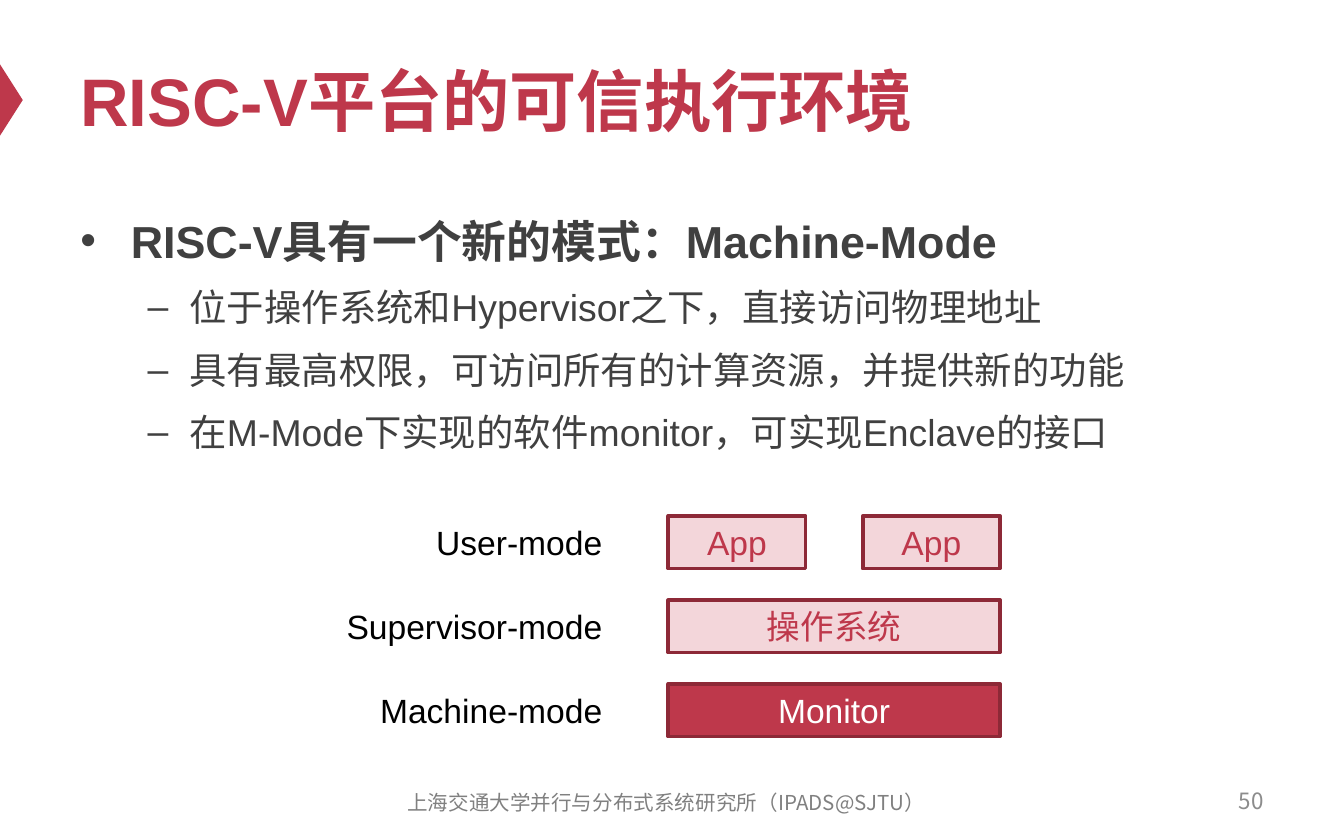
"""Build the slide on the RISC-V trusted execution environment."""
import pptx
import pptx.util
import pptx.dml.color
import pptx.enum.shapes
import pptx.enum.text
import pptx.oxml
import pptx.oxml.ns

Pt = pptx.util.Pt
RGBColor = pptx.dml.color.RGBColor
ALIGN = pptx.enum.text.PP_ALIGN
ANCHOR = pptx.enum.text.MSO_ANCHOR
PRESET = pptx.enum.shapes.MSO_SHAPE
qn = pptx.oxml.ns.qn

CRIMSON = RGBColor(0xBE, 0x38, 0x4B)
MAROON = RGBColor(0x8D, 0x29, 0x37)
PINK = RGBColor(0xF3, 0xD6, 0xDA)
CHARCOAL = RGBColor(0x40, 0x40, 0x40)
GRAY = RGBColor(0x80, 0x80, 0x80)
SILVER = RGBColor(0x8C, 0x8C, 0x8C)
BLACK = RGBColor(0, 0, 0)
WHITE = RGBColor(0xFF, 0xFF, 0xFF)
LATIN = "Arial"
CJK = "Noto Sans CJK SC"

TITLE = "RISC-V平台的可信执行环境"
HEADLINE = "RISC-V具有一个新的模式：Machine-Mode"
DETAILS = [
    "位于操作系统和Hypervisor之下，直接访问物理地址",
    "具有最高权限，可访问所有的计算资源，并提供新的功能",
    "在M-Mode下实现的软件monitor，可实现Enclave的接口",
]
MODES = [
    ("User-mode", ["App", "App"], PINK, CRIMSON),
    ("Supervisor-mode", ["操作系统"], PINK, CRIMSON),
    ("Machine-mode", ["Monitor"], CRIMSON, WHITE),
]
FOOTER = "上海交通大学并行与分布式系统研究所（IPADS@SJTU）"
PAGE = "50"

STACK_LEFT, STACK_TOP, STACK_WIDTH = 358, 276.5, 177.8
LAYER_HEIGHT, LAYER_STEP, APP_GAP = 28.1, 45, 30.5
LABEL_LEFT, LABEL_WIDTH = 125.3, 204.5


def add_run(paragraph, words, size, color, bold=False, face=LATIN):
    run = paragraph.add_run()
    run.text = words
    run.font.size = Pt(size)
    run.font.bold = bold
    run.font.color.rgb = color
    run.font.name = face
    east_asian = pptx.oxml.parse_xml(
        f'<a:ea {pptx.oxml.ns.nsdecls("a")} typeface="{CJK}"/>')
    run.font._element.find(qn("a:latin")).addnext(east_asian)


def add_frame(slide, box, anchor=ANCHOR.MIDDLE):
    frame = slide.shapes.add_textbox(*map(Pt, box)).text_frame
    frame.word_wrap = True
    frame.vertical_anchor = anchor
    return frame


def add_line(slide, box, words, size, color, align=ALIGN.LEFT, **style):
    paragraph = add_frame(slide, box).paragraphs[0]
    paragraph.alignment = align
    add_run(paragraph, words, size, color, **style)


def add_preset(slide, preset, box, fill):
    shape = slide.shapes.add_shape(preset, *map(Pt, box))
    shape.shadow.inherit = False
    shape.fill.solid()
    shape.fill.fore_color.rgb = fill
    return shape


def add_bullet(paragraph, mark, margin, hanging):
    properties = paragraph._p.get_or_add_pPr()
    properties.set("marL", str(Pt(margin)))
    properties.set("indent", str(-Pt(hanging)))
    for tag, name, value in (("buFont", "typeface", LATIN), ("buChar", "char", mark)):
        properties.append(pptx.oxml.parse_xml(
            f'<a:{tag} {pptx.oxml.ns.nsdecls("a")} {name}="{value}"/>'))
    paragraph.line_spacing = 1.2


def add_points(slide):
    frame = add_frame(slide, (36, 105, 648, 160), ANCHOR.TOP)
    headline = frame.paragraphs[0]
    add_bullet(headline, "•", 27, 27)
    add_run(headline, HEADLINE, 24, CHARCOAL, bold=True)
    for words in DETAILS:
        detail = frame.add_paragraph()
        detail.level = 1
        add_bullet(detail, "–", 58.5, 22.5)
        detail.space_before = Pt(4.6)
        add_run(detail, words, 20, CHARCOAL)


def add_layer(slide, box, words, fill, color):
    layer = add_preset(slide, PRESET.RECTANGLE, box, fill)
    layer.line.color.rgb = MAROON
    layer.line.width = Pt(2)
    layer.text_frame.vertical_anchor = ANCHOR.MIDDLE
    paragraph = layer.text_frame.paragraphs[0]
    paragraph.alignment = ALIGN.CENTER
    add_run(paragraph, words, 18, color)


def add_modes(slide):
    for row, (mode, layers, fill, color) in enumerate(MODES):
        top = STACK_TOP + row * LAYER_STEP
        width = (STACK_WIDTH - APP_GAP * (len(layers) - 1)) / len(layers)
        for column, words in enumerate(layers):
            left = STACK_LEFT + column * (width + APP_GAP)
            add_layer(slide, (left, top, width, LAYER_HEIGHT), words, fill, color)
        add_line(slide, (LABEL_LEFT, top, LABEL_WIDTH, LAYER_HEIGHT),
                 mode, 18, BLACK, ALIGN.RIGHT)


def main():
    deck = pptx.Presentation()
    deck.slide_width, deck.slide_height = Pt(720), Pt(450)
    slide = deck.slides.add_slide(deck.slide_layouts[6])
    marker = add_preset(slide, PRESET.ISOSCELES_TRIANGLE, (-13, 47.5, 38.2, 12.2), CRIMSON)
    marker.rotation = 90
    marker.line.fill.background()
    add_line(slide, (36, 18, 648, 70.6), TITLE, 36, CRIMSON, bold=True)
    add_points(slide)
    add_line(slide, (516, 417, 168, 24), PAGE, 12, SILVER, ALIGN.RIGHT, face=CJK)
    add_line(slide, (201, 417.6, 312, 24), FOOTER, 11, GRAY, ALIGN.CENTER, face=CJK)
    add_modes(slide)
    deck.save("out.pptx")


if __name__ == "__main__":
    main()
